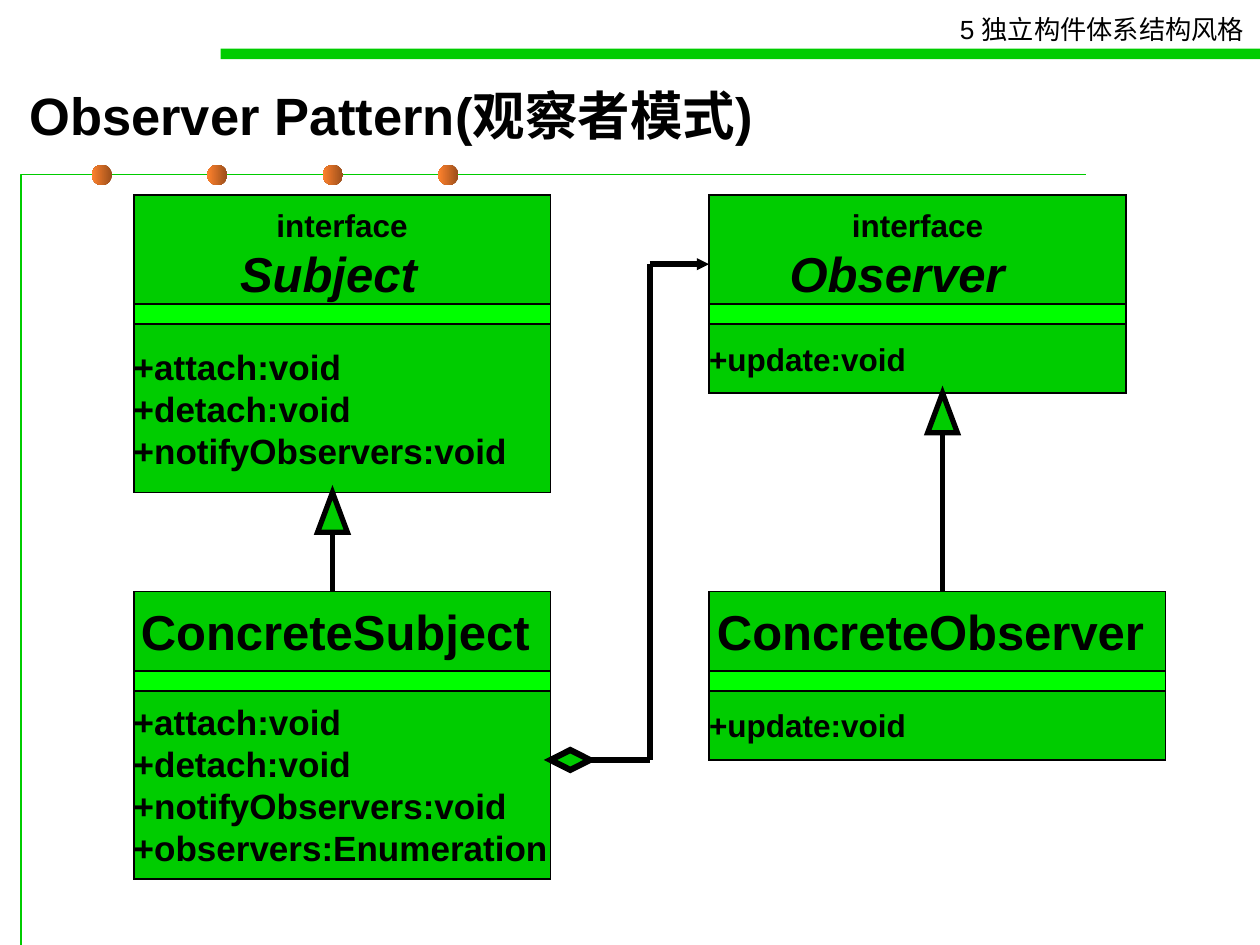
from dataclasses import dataclass
from itertools import pairwise

from lxml.etree import SubElement
from pptx import Presentation
from pptx.dml.color import RGBColor
from pptx.enum.shapes import MSO_SHAPE
from pptx.enum.text import MSO_ANCHOR, MSO_AUTO_SIZE, PP_ALIGN
from pptx.oxml.ns import qn
from pptx.util import Pt

GREEN, LIME, BLACK = "00CC00", "00FF00", "000000"
FONT = "Arial"
BAR_HEIGHT = 11.3


@dataclass
class Line:
    """One line of text; indent offsets the box's right inset."""
    text: str
    size: float
    italic: bool = False
    indent: float = 0


@dataclass
class ClassBox:
    left: float
    top: float
    width: float
    header_height: float
    bar_top: float
    members_height: float
    header: list[Line]
    header_inset: float
    members: list[str]
    member_size: float


@dataclass
class Inheritance:
    center: float
    tip: float
    start: float


def color(value: str) -> RGBColor:
    return RGBColor.from_string(value)


def style_text(para, size: float, bold: bool = False, italic: bool = False) -> None:
    for span in para.runs:
        font = span.font
        font.name, font.size, font.bold, font.italic = FONT, Pt(size), bold, italic
        font.color.rgb = color(BLACK)


def add_block(page, kind, left: float, top: float, width: float, height: float,
              fill: str, line_width: float = 0):
    """Add a filled shape, outlined in black when line_width is given."""
    shape = page.shapes.add_shape(kind, Pt(left), Pt(top), Pt(width), Pt(height))
    shape.shadow.inherit = False
    shape.fill.solid()
    shape.fill.fore_color.rgb = color(fill)
    if line_width:
        shape.line.color.rgb = color(BLACK)
        shape.line.width = Pt(line_width)
        SubElement(shape.line._get_or_add_ln(), qn("a:miter"), lim="800000")
    else:
        shape.line.fill.background()
    return shape


def write_lines(shape, lines: list[Line], align, right: float = 0) -> None:
    frame = shape.text_frame
    frame.word_wrap = True
    frame.vertical_anchor = MSO_ANCHOR.MIDDLE
    frame.margin_left, frame.margin_right = 0, Pt(right)
    frame.text = "\n".join(line.text for line in lines)
    for para, line in zip(frame.paragraphs, lines):
        para.alignment = align
        if line.indent:
            properties = para._p.get_or_add_pPr()
            properties.set("marL", str(Pt(line.indent)))
            properties.set("indent", "0")
        style_text(para, line.size, bold=True, italic=line.italic)


def draw_class(page, item: ClassBox) -> None:
    header = add_block(page, MSO_SHAPE.RECTANGLE, item.left, item.top,
                       item.width, item.header_height, GREEN, 1)
    write_lines(header, item.header, PP_ALIGN.CENTER, item.header_inset)
    members = add_block(page, MSO_SHAPE.RECTANGLE, item.left, item.bar_top + BAR_HEIGHT,
                        item.width, item.members_height, GREEN, 1)
    write_lines(members, [Line(text, item.member_size) for text in item.members],
                PP_ALIGN.LEFT)
    add_block(page, MSO_SHAPE.RECTANGLE, item.left, item.bar_top,
              item.width, BAR_HEIGHT, LIME, 1)


def draw_line(page, start: tuple, end: tuple, width: float, arrow: bool = False) -> None:
    link = page.shapes.add_connector(1, *map(Pt, start + end))
    link.line.color.rgb = color(BLACK)
    link.line.width = Pt(width)
    if arrow:
        SubElement(link.line._get_or_add_ln(), qn("a:tailEnd"),
                   type="triangle", w="sm", len="sm")
    SubElement(link._element.spPr, qn("a:effectLst"))


def draw_inheritance(page, item: Inheritance) -> None:
    width, height = 17, 22.7
    draw_line(page, (item.center, item.start), (item.center, item.tip + height), 3)
    add_block(page, MSO_SHAPE.ISOSCELES_TRIANGLE, item.center - width / 2, item.tip,
              width, height, GREEN, 3)


def draw_frame(page) -> None:
    """Draw the green rules, the dots and the chapter name."""
    builder = page.shapes.build_freeform(Pt(12), Pt(540))
    builder.add_line_segments([(Pt(12), Pt(99.8)), (Pt(620.6), Pt(99.8))], close=False)
    rule = builder.convert_to_shape()
    rule.shadow.inherit = False
    rule.fill.background()
    rule.line.color.rgb = color(GREEN)
    rule.line.width = Pt(0.75)

    for index in range(4):
        dot = add_block(page, MSO_SHAPE.OVAL, 52.4 + 66 * index, 94.2, 11.6, 11.6, GREEN)
        dot.fill.gradient()
        dot.fill.gradient_angle = 180
        for stop, value in zip(dot.fill.gradient_stops, ("9A4E1B", "FF822D")):
            stop.color.rgb = color(value)

    add_block(page, MSO_SHAPE.RECTANGLE, 126, 27.8, 594, 6, GREEN)
    chapter = page.shapes.add_textbox(Pt(541.4), Pt(4), Pt(178.6), Pt(25))
    frame = chapter.text_frame
    frame.word_wrap = True
    frame.margin_right = 0
    frame.text = "5 独立构件体系结构风格"
    style_text(frame.paragraphs[0], 15)


def draw_title(page) -> None:
    title = page.shapes.title
    title.left, title.top, title.width, title.height = map(Pt, (9.6, 39.8, 669, 51))
    frame = title.text_frame
    frame.text = "Observer Pattern(观察者模式)"
    frame.auto_size = MSO_AUTO_SIZE.NONE
    frame.vertical_anchor = MSO_ANCHOR.MIDDLE
    frame.paragraphs[0].alignment = PP_ALIGN.LEFT
    style_text(frame.paragraphs[0], 30, bold=True)


def interface_header(name: str, shift: float) -> list[Line]:
    return [Line("interface", 18, indent=shift), Line(name, 28, italic=True)]


def main() -> None:
    deck = Presentation()
    deck.slide_width, deck.slide_height = Pt(720), Pt(540)
    page = deck.slides.add_slide(deck.slide_layouts[5])
    draw_frame(page)
    draw_title(page)

    left, right = 76.4, 405.2
    upper, lower = 111.4, 338
    upper_bar, lower_bar = 173.7, 383.4
    methods = ["+attach:void", "+detach:void", "+notifyObservers:void"]
    update = ["+update:void"]
    classes = [
        ClassBox(left, upper, 238.2, 67.8, upper_bar, 96.4,
                 interface_header("Subject", 15.6), 15.6, methods, 20),
        ClassBox(left, lower, 238.2, 45.4, lower_bar, 107.6,
                 [Line("ConcreteSubject", 28)], 7.8,
                 methods + ["+observers:Enumeration"], 20),
        ClassBox(right, upper, 238.2, 67.8, upper_bar, 39.6,
                 interface_header("Observer", 23.4), 23.4, update, 18),
        ClassBox(right, lower, 260.8, 45.4, lower_bar, 39.6,
                 [Line("ConcreteObserver", 28)], 7.8, update, 18),
    ]
    for item in classes:
        draw_class(page, item)
    for item in (Inheritance(190, 281.4, lower), Inheritance(538.6, 224.6, lower)):
        draw_inheritance(page, item)

    add_block(page, MSO_SHAPE.DIAMOND, 314.6, 428.6, 22.6, 11.4, GREEN, 3.5)
    route = [(337.2, 434.3), (371.2, 434.3), (371.2, 151), (right, 151)]
    for start, end in pairwise(route):
        draw_line(page, start, end, 3.5, arrow=end == route[-1])
    deck.save("out.pptx")


if __name__ == "__main__":
    main()
